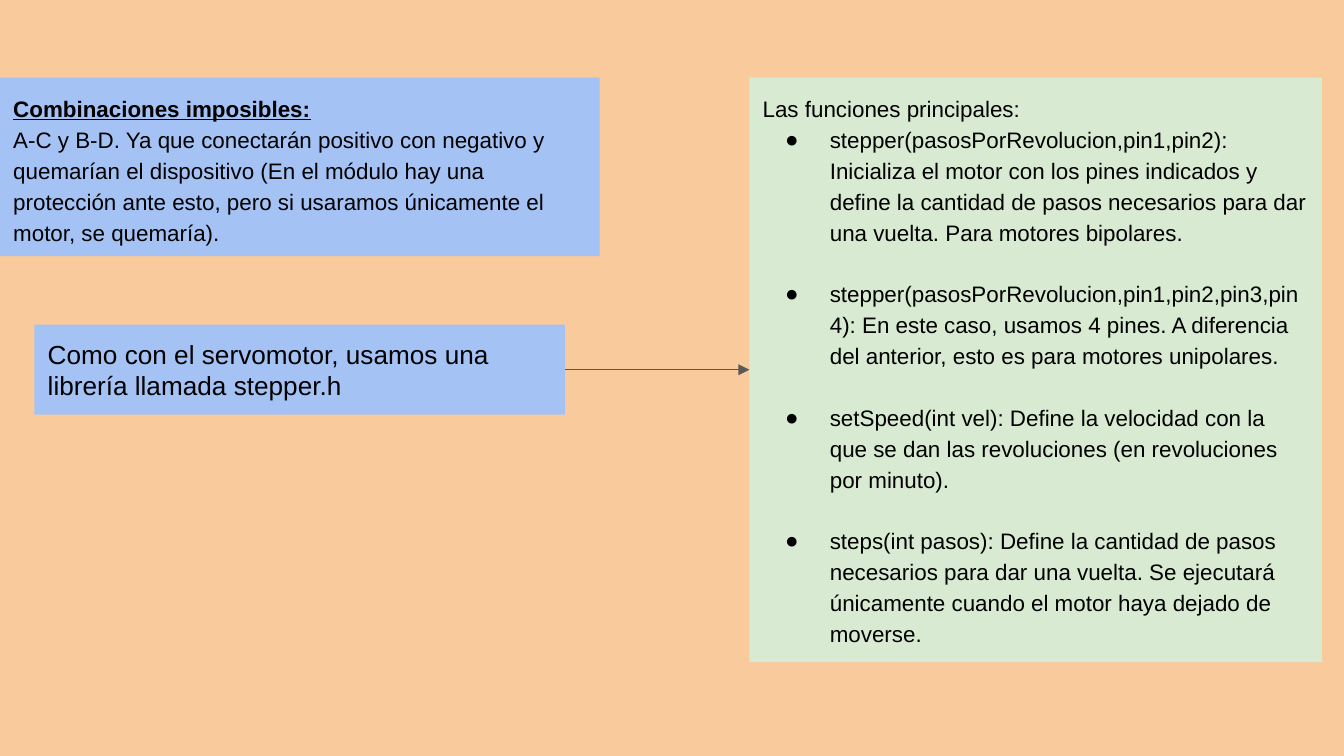
from lxml import etree
from pptx import Presentation
from pptx import util as u
from pptx.dml import color
from pptx.enum import shapes, text
from pptx.oxml import ns

BLUE, GREEN, PEACH, GREY, BLACK = "A4C2F4", "D9EAD3", "F9CB9C", "595959", "000000"


def rgb(value):
    return color.RGBColor.from_string(value)


def add_xml(parent, tag, **attributes):
    return etree.SubElement(parent, ns.qn(tag), attributes)


def assign(target, values):
    for name, value in values.items():
        setattr(target, name, value)


class Board:
    font = {"name": "Arial", "size": u.Pt(12), "bold": False, "underline": False}
    frame = {
        "word_wrap": True,
        "vertical_anchor": text.MSO_ANCHOR.TOP,
        **{f"margin_{side}": u.Pt(7.2) for side in ("left", "top", "right", "bottom")},
    }
    paragraph = {"alignment": text.PP_ALIGN.LEFT, "line_spacing": 1.15}

    def __init__(self, slide):
        self.slide = slide
        slide.background.fill.solid()
        slide.background.fill.fore_color.rgb = rgb(PEACH)

    def panel(self, left, top, width, height, fill):
        panel = self.slide.shapes.add_shape(
            shapes.MSO_SHAPE.RECTANGLE, *map(u.Pt, (left, top, width, height)))
        panel.shadow.inherit = False
        panel.fill.solid()
        panel.fill.fore_color.rgb = rgb(fill)
        panel.line.fill.background()
        assign(panel.text_frame, self.frame)
        return panel

    def passage(self, panel, wording, font=None, **spacing):
        frame = panel.text_frame
        passage = frame.add_paragraph() if frame.text else frame.paragraphs[0]
        assign(passage, {**self.paragraph, **spacing})
        run = passage.add_run()
        run.text = wording
        assign(run.font, {**self.font, **(font or {})})
        run.font.color.rgb = rgb(BLACK)
        return passage

    def bullet(self, panel, wording, gap):
        passage = self.passage(panel, wording, space_before=u.Pt(gap))
        properties = passage._p.get_or_add_pPr()
        properties.set("marL", str(u.Pt(36)))
        properties.set("indent", str(-u.Pt(24)))
        add_xml(add_xml(properties, "a:buClr"), "a:srgbClr", val=BLACK)
        add_xml(properties, "a:buFont", typeface="Arial")
        add_xml(properties, "a:buChar", char="●")

    def arrow(self, source, target):
        height = source.top + source.height // 2
        arrow = self.slide.shapes.add_connector(
            shapes.MSO_CONNECTOR.STRAIGHT,
            source.left + source.width, height, target.left, height)
        arrow.line.color.rgb = rgb(GREY)
        arrow.line.width = u.Pt(0.75)
        properties = arrow._element.spPr
        add_xml(properties.find(ns.qn("a:ln")), "a:tailEnd", type="triangle", w="med", len="med")
        add_xml(properties, "a:effectLst")


def main():
    deck = Presentation()
    assign(deck, {"slide_width": u.Pt(720), "slide_height": u.Pt(405)})
    board = Board(deck.slides.add_slide(deck.slide_layouts[6]))

    combinations = board.panel(0, 41.6, 321.3, 95.7, BLUE)
    board.passage(combinations, "Combinaciones imposibles:", {"bold": True, "underline": True})
    board.passage(
        combinations,
        "A-C y B-D. Ya que conectarán positivo con negativo y quemarían el dispositivo "
        "(En el módulo hay una protección ante esto, pero si usaramos únicamente el motor, "
        "se quemaría).")

    functions = board.panel(401.5, 41.6, 306.7, 313.2, GREEN)
    board.passage(functions, "Las funciones principales:")
    descriptions = (
        "stepper(pasosPorRevolucion,pin1,pin2): Inicializa el motor con los pines indicados "
        "y define la cantidad de pasos necesarios para dar una vuelta. Para motores bipolares.",
        "stepper(pasosPorRevolucion,pin1,pin2,pin3,pin4): En este caso, usamos 4 pines. "
        "A diferencia del anterior, esto es para motores unipolares.",
        "setSpeed(int vel): Define la velocidad con la que se dan las revoluciones "
        "(en revoluciones por minuto).",
        "steps(int pasos): Define la cantidad de pasos necesarios para dar una vuelta. "
        "Se ejecutará únicamente cuando el motor haya dejado de moverse.",
    )
    for index, description in enumerate(descriptions):
        board.bullet(functions, description, 16.5 if index else 0)

    library = board.panel(18.5, 174, 284.2, 48.2, BLUE)
    board.passage(
        library, "Como con el servomotor, usamos una librería llamada stepper.h",
        {"size": u.Pt(14)}, line_spacing=1.0)
    board.arrow(library, functions)

    deck.save("out.pptx")


if __name__ == "__main__":
    main()
